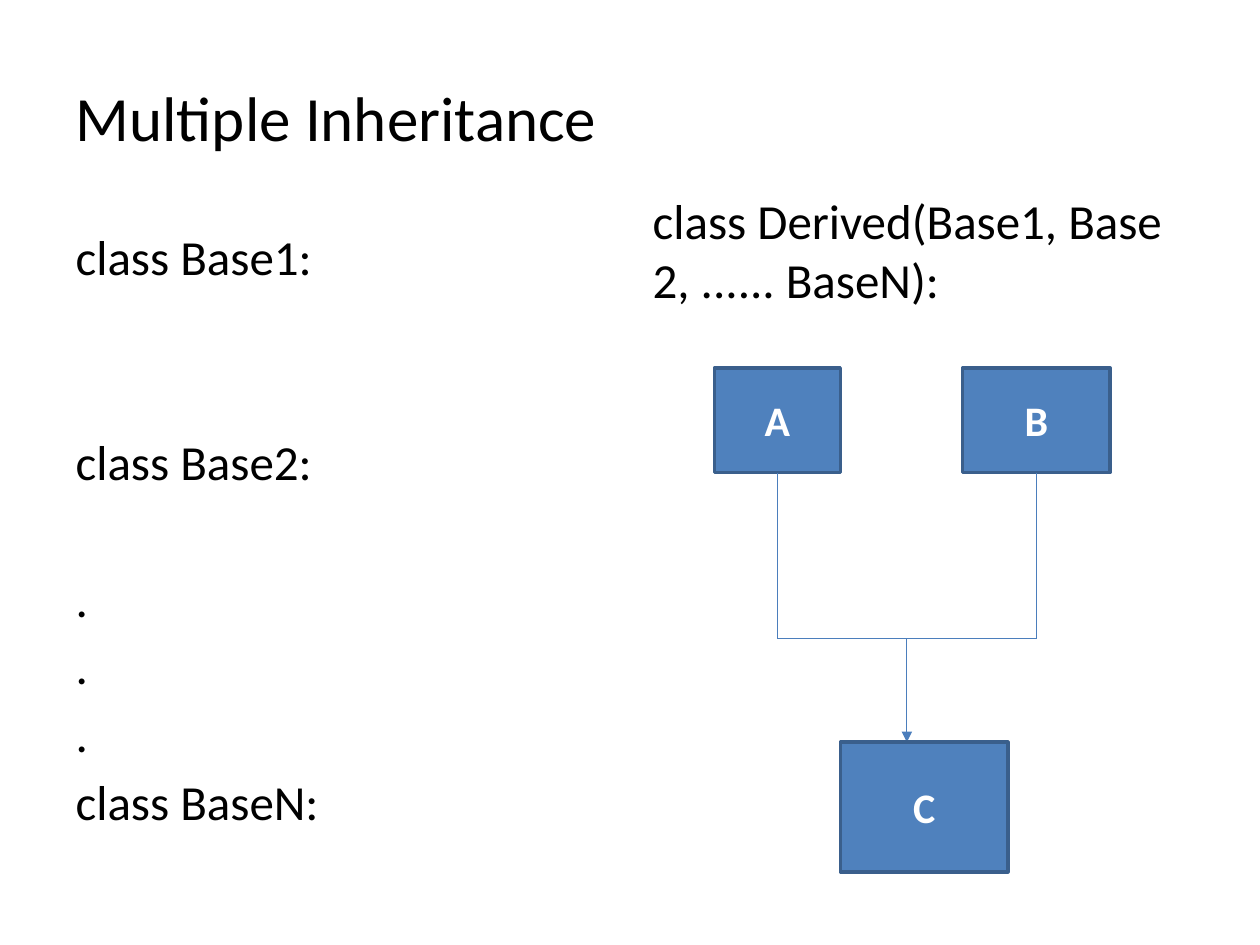
from lxml.etree import SubElement
from pptx import Presentation
from pptx.dml.color import RGBColor
from pptx.enum.shapes import MSO_CONNECTOR, MSO_SHAPE
from pptx.enum.text import MSO_ANCHOR, MSO_AUTO_SIZE, PP_ALIGN
from pptx.oxml.ns import qn
from pptx.util import Inches, Pt

COLORS = {
    "text": "000000",
    "box": "4F81BD",
    "border": "3A5F8C",
    "link": "4B7EBC",
    "label": "FFFFFF",
}
NBSP = chr(160)  # keeps code lines together


class SlideBuilder:
    font_name = "Calibri"

    def __init__(self, slide):
        self.slide = slide

    def color(self, key):
        return RGBColor.from_string(COLORS[key])

    def place(self, shape, left, top, width, height):
        shape.left, shape.top = Inches(left), Inches(top)
        shape.width, shape.height = Inches(width), Inches(height)

    def add_run(self, paragraph, text, size, color="text", bold=False):
        run = paragraph.add_run()
        run.text = text
        run.font.name = self.font_name
        run.font.size = Pt(size)
        run.font.bold = bold
        run.font.color.rgb = self.color(color)

    def title(self, text, *bounds):
        heading = self.slide.shapes.title
        self.place(heading, *bounds)
        frame = heading.text_frame
        frame.vertical_anchor = MSO_ANCHOR.MIDDLE
        frame.paragraphs[0].alignment = PP_ALIGN.LEFT
        self.add_run(frame.paragraphs[0], text, 36)

    def code_list(self, index, lines, *bounds, inset=0.05):
        """Fill a body placeholder with (text, space before) lines."""
        body = self.slide.placeholders[index]
        self.place(body, *bounds)
        frame = body.text_frame
        frame.word_wrap = True
        frame.auto_size = MSO_AUTO_SIZE.NONE
        frame.margin_top = Inches(inset)
        for number, (text, gap) in enumerate(lines):
            paragraph = frame.add_paragraph() if number else frame.paragraphs[0]
            properties = paragraph._p.get_or_add_pPr()
            properties.set("marL", "0")
            properties.set("indent", "0")
            SubElement(properties, qn("a:buNone"))
            paragraph.space_before = Pt(gap)
            self.add_run(paragraph, text.replace(" ", NBSP), 28)

    def class_box(self, label, *bounds):
        box = self.slide.shapes.add_shape(
            MSO_SHAPE.RECTANGLE, *(Inches(value) for value in bounds))
        box.shadow.inherit = False
        box.fill.solid()
        box.fill.fore_color.rgb = self.color("box")
        box.line.color.rgb = self.color("border")
        box.line.width = Pt(2)
        box.text_frame.vertical_anchor = MSO_ANCHOR.MIDDLE
        paragraph = box.text_frame.paragraphs[0]
        paragraph.alignment = PP_ALIGN.CENTER
        self.add_run(paragraph, label, 24, "label", bold=True)

    def link(self, *ends, arrow=False):
        link = self.slide.shapes.add_connector(
            MSO_CONNECTOR.STRAIGHT, *(Inches(value) for value in ends))
        link.line.color.rgb = self.color("link")
        link.line.width = Pt(0.75)
        if arrow:
            SubElement(link.line._get_or_add_ln(), qn("a:tailEnd"), type="triangle")
        SubElement(link._element.spPr, qn("a:effectLst"))


def main():
    deck = Presentation()
    deck.slide_width, deck.slide_height = Inches(10), Inches(7.5)
    builder = SlideBuilder(deck.slides.add_slide(deck.slide_layouts[3]))

    # Title and code columns
    builder.title("Multiple Inheritance", 0.5, 0.3, 9, 1.25)
    base_classes = [("class Base1:", 0), ("class Base2:", 83.5), (".", 44.3),
                    (".", 5.1), (".", 5.1), ("class BaseN:", 5.1)]
    builder.code_list(1, base_classes, 0.5, 1.75, 4.42, 4.95)
    builder.code_list(2, [("class Derived(Base1, Base2, ...... BaseN):", 0)],
                      5.08, 0.92, 4.42, 5.78, inset=0.59)

    # Parent classes, each with a line down to the shared bar
    parent_top, parent_height, bar_y = 2.92, 0.83, 5.07
    parent_centers = []
    for label, left, width in [("A", 5.67, 1), ("B", 7.64, 1.17)]:
        builder.class_box(label, left, parent_top, width, parent_height)
        center = left + width / 2
        builder.link(center, parent_top + parent_height, center, bar_y)
        parent_centers.append(center)

    # Shared bar and arrow to the derived class
    first, last = parent_centers
    middle = (first + last) / 2
    child_top = 5.89
    builder.link(first, bar_y, last, bar_y)
    builder.link(middle, bar_y, middle, child_top, arrow=True)
    builder.class_box("C", 6.67, child_top, 1.33, 1.03)

    deck.save("out.pptx")


if __name__ == "__main__":
    main()
